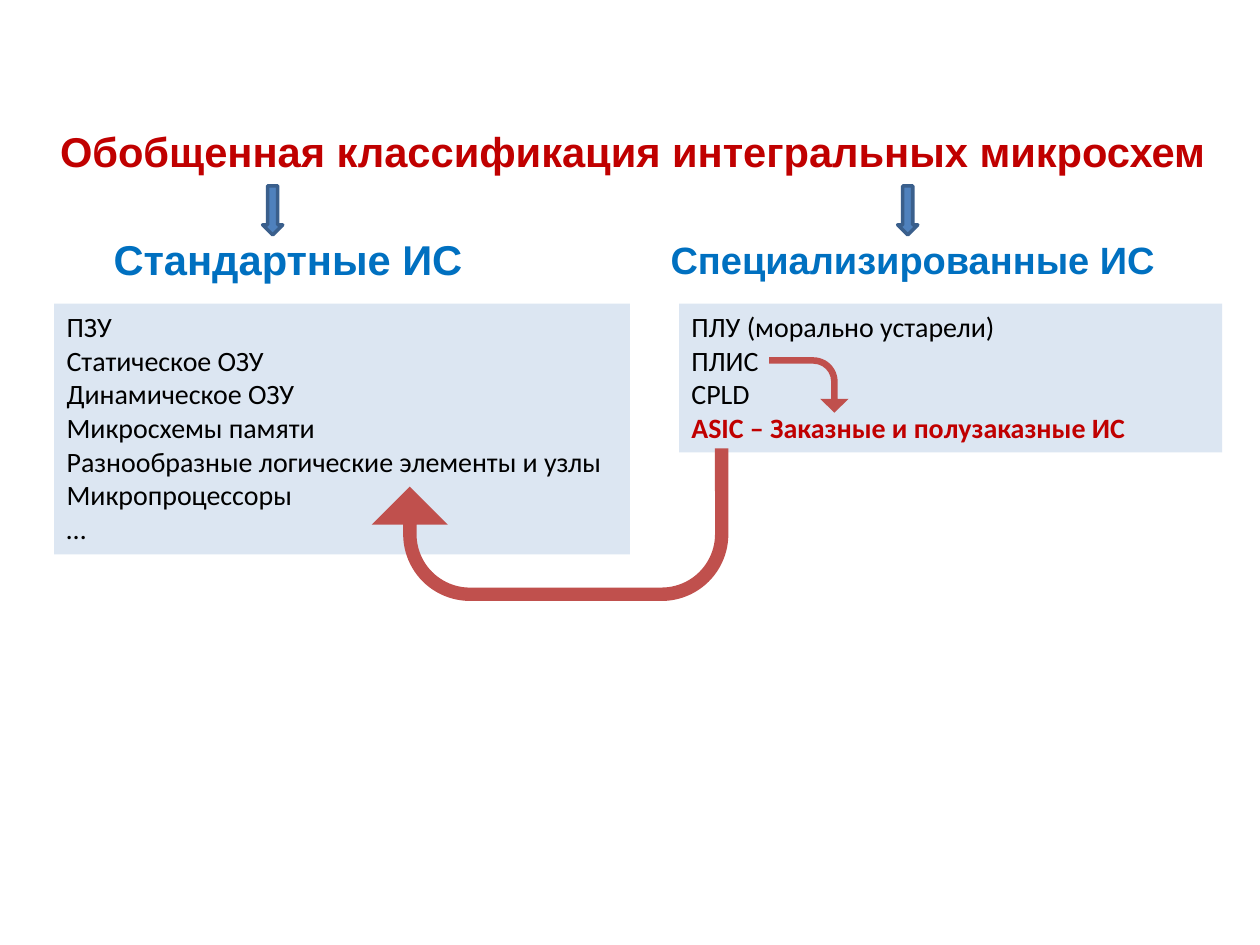
"""Build a slide classifying integrated circuits."""
from dataclasses import dataclass

import pptx
import pptx.dml.color
import pptx.enum.shapes
import pptx.enum.text
import pptx.util

Pt = pptx.util.Pt
MSO_SHAPE = pptx.enum.shapes.MSO_SHAPE
PP_ALIGN = pptx.enum.text.PP_ALIGN
MSO_ANCHOR = pptx.enum.text.MSO_ANCHOR


@dataclass(frozen=True)
class Theme:
    """Colours, fonts and type sizes."""
    red: str = "C00000"
    blue: str = "0070C0"
    black: str = "000000"
    panel: str = "DCE6F2"
    arrow: str = "4F81BD"
    arrow_line: str = "3A5F8C"
    link: str = "C0504D"
    heading_font: str = "Arial"
    body_font: str = "Calibri"
    title_size: float = 23.8
    narrow_size: float = 21.7
    body_size: float = 16


T = Theme()


def rgb(value):
    """Turn a hex string into a colour."""
    return pptx.dml.color.RGBColor.from_string(value)


def add_text(p, text, *, size, font, color, bold=False, align=PP_ALIGN.LEFT):
    """Put one formatted run in a paragraph."""
    p.alignment = align
    r = p.add_run()
    r.text = text
    r.font.size = Pt(size)
    r.font.name = font
    r.font.bold = bold
    r.font.color.rgb = rgb(color)


def add_heading(s, text, x, y, w, *, color, size=T.title_size):
    """Add a centred bold heading."""
    tf = s.shapes.add_textbox(Pt(x), Pt(y), Pt(w), Pt(51)).text_frame
    tf.word_wrap = True
    tf.vertical_anchor = MSO_ANCHOR.MIDDLE
    add_text(tf.paragraphs[0], text, size=size, font=T.heading_font,
             color=color, bold=True, align=PP_ALIGN.CENTER)


def add_filled(s, kind, x, y, w, h, fill, *, line=None, rotation=0, adj=()):
    """Add a flat preset shape."""
    sp = s.shapes.add_shape(kind, Pt(x), Pt(y), Pt(w), Pt(h))
    sp.shadow.inherit = False
    sp.rotation = rotation
    sp.fill.solid()
    sp.fill.fore_color.rgb = rgb(fill)
    if line:
        sp.line.color.rgb = rgb(line)
        sp.line.width = Pt(2)
    else:
        sp.line.fill.background()
    for i, value in enumerate(adj):
        sp.adjustments[i] = value
    return sp


def add_panel(s, x, w, h, lines, accent=None):
    """Add a tinted panel of lines, one of them accented."""
    sp = add_filled(s, MSO_SHAPE.RECTANGLE, x, 173.5, w, h, T.panel)
    tf = sp.text_frame
    tf.word_wrap = True
    tf.vertical_anchor = MSO_ANCHOR.TOP
    tf.auto_size = pptx.enum.text.MSO_AUTO_SIZE.SHAPE_TO_FIT_TEXT
    for i, text in enumerate(lines):
        p = tf.add_paragraph() if i else tf.paragraphs[0]
        marked = text == accent
        add_text(p, text, size=T.body_size, font=T.body_font,
                 color=T.red if marked else T.black, bold=marked)


def main():
    """Build and save the slide."""
    prs = pptx.Presentation()
    prs.slide_width, prs.slide_height = Pt(720), Pt(540)
    s = prs.slides.add_slide(prs.slide_layouts[6])

    add_heading(s, "Обобщенная классификация интегральных микросхем",
                19.4, 60.5, 684, color=T.red)
    add_heading(s, "Стандартные ИС", 48.2, 122.4, 232.6, color=T.blue)
    add_heading(s, "Специализированные ИС", 371.5, 122.4, 300.2,
                color=T.blue, size=T.narrow_size)
    for x in (141.8, 504.7):
        add_filled(s, MSO_SHAPE.RIGHT_ARROW, x, 114.5, 28, 11.5, T.arrow,
                   line=T.arrow_line, rotation=90)

    add_panel(s, 31, 329, 143.3, [
        "ПЗУ", "Статическое ОЗУ", "Динамическое ОЗУ", "Микросхемы памяти",
        "Разнообразные логические элементы и узлы", "Микропроцессоры", "…"])
    asic = "ASIC – Заказные и полузаказные ИС"
    add_panel(s, 388, 310.3, 85, ["ПЛУ (морально устарели)", "ПЛИС", "СPLD", asic],
              accent=asic)

    add_filled(s, MSO_SHAPE.U_TURN_ARROW, 212.4, 256.3, 203.8, 87.1, T.link,
               rotation=180, adj=(0.088, 0.25, 0.25, 0.438, 0.75))
    add_filled(s, MSO_SHAPE.BENT_ARROW, 446.4, 197.3, 31.7, 45.4, T.link,
               rotation=90, adj=(0.118, 0.258, 0.25, 0.438))
    prs.save("out.pptx")


if __name__ == "__main__":
    main()
